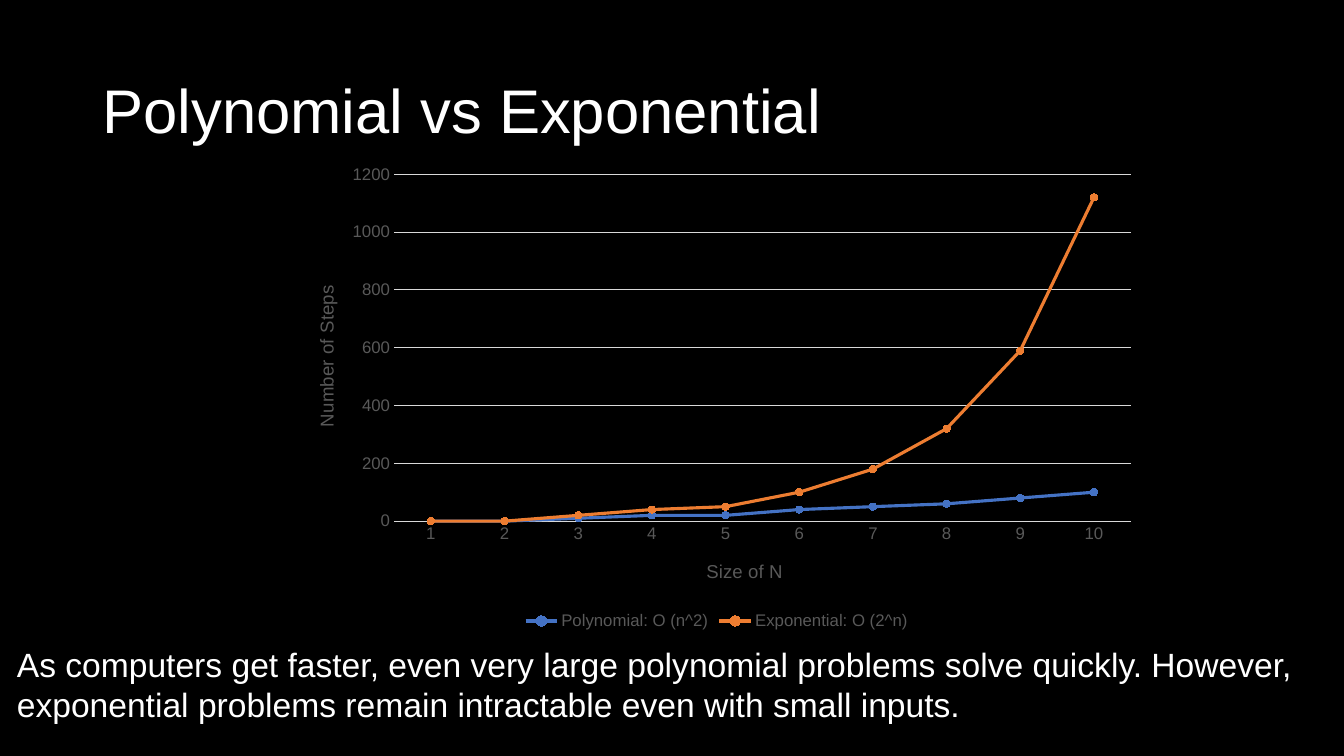
import pptx
import pptx.util
import pptx.chart.data
import pptx.dml.color
import pptx.enum.chart
import pptx.enum.text
import lxml.etree

Pt = pptx.util.Pt
RGBColor = pptx.dml.color.RGBColor
BLACK = RGBColor(0x00, 0x00, 0x00)
WHITE = RGBColor(0xFF, 0xFF, 0xFF)
LABEL_GRAY = RGBColor(0x59, 0x59, 0x59)
GRID_GRAY = RGBColor(0xD9, 0xD9, 0xD9)
BLUE = RGBColor(0x44, 0x72, 0xC4)
ORANGE = RGBColor(0xED, 0x7D, 0x31)
FONT = "Arial"
CHART_NS = "http://schemas.openxmlformats.org/drawingml/2006/chart"


def add_text(slide, text, left, top, width, height, size, anchor, line_spacing):
    box = slide.shapes.add_textbox(Pt(left), Pt(top), Pt(width), Pt(height))
    frame = box.text_frame
    frame.word_wrap = True
    frame.vertical_anchor = anchor
    frame.text = text
    paragraph = frame.paragraphs[0]
    paragraph.line_spacing = line_spacing
    font = paragraph.runs[0].font
    font.name = FONT
    font.size = Pt(size)
    font.color.rgb = WHITE


def place(element, index, settings):
    for old_layout in element.findall(f"{{{CHART_NS}}}layout"):
        element.remove(old_layout)
    layout = lxml.etree.Element(f"{{{CHART_NS}}}layout")
    manual = lxml.etree.SubElement(layout, f"{{{CHART_NS}}}manualLayout")
    for name, value in settings.items():
        lxml.etree.SubElement(manual, f"{{{CHART_NS}}}{name}").set("val", str(value))
    element.insert(index, layout)


presentation = pptx.Presentation()
presentation.slide_width = Pt(960)
presentation.slide_height = Pt(540)
slide = presentation.slides.add_slide(presentation.slide_layouts[6])
slide.background.fill.solid()
slide.background.fill.fore_color.rgb = BLACK

add_text(slide, "Polynomial vs Exponential", 66, 28.75, 828, 104.4, 44,
         pptx.enum.text.MSO_ANCHOR.MIDDLE, 0.9)
add_text(slide, "As computers get faster, even very large polynomial problems solve quickly. "
         "However, exponential problems remain intractable even with small inputs.",
         5, 456.5, 978, 65.5, 24, pptx.enum.text.MSO_ANCHOR.TOP, 1.0)

sizes = range(1, 11)
chart_data = pptx.chart.data.CategoryChartData()
chart_data.categories = [str(n) for n in sizes]
chart_data.add_series("Polynomial: O (n^2)", [round(n ** 2, -1) for n in sizes])
chart_data.add_series("Exponential: O (2^n)", [round(2 ** n, -1) for n in sizes])
chart = slide.shapes.add_chart(
    pptx.enum.chart.XL_CHART_TYPE.LINE_MARKERS_STACKED,
    Pt(203.8), Pt(111.6), Pt(616.3), Pt(341.3), chart_data).chart
chart.has_title = False
chart.font.name = FONT
chart.font.size = Pt(12)
chart.font.color.rgb = LABEL_GRAY
chart.has_legend = True
chart.legend.position = pptx.enum.chart.XL_LEGEND_POSITION.BOTTOM
chart.legend.include_in_layout = False
chart.legend.font.name = FONT
chart.legend.font.size = Pt(12)
chart.legend.font.color.rgb = LABEL_GRAY
plot_area = chart._chartSpace.find(f".//{{{CHART_NS}}}plotArea")
place(plot_area, 0, {"layoutTarget": "inner", "xMode": "edge", "yMode": "edge",
                     "x": 0.126, "y": 0.038, "w": 0.854, "h": 0.726})

for axis, title, rotation, x, y in [
        (chart.category_axis, "Size of N", 0, 0.484, 0.837),
        (chart.value_axis, "Number of Steps", -90, 0.03, 0.263)]:
    axis.major_tick_mark = pptx.enum.chart.XL_TICK_MARK.NONE
    axis.minor_tick_mark = pptx.enum.chart.XL_TICK_MARK.NONE
    axis.tick_labels.font.name = FONT
    axis.tick_labels.font.size = Pt(12)
    axis.tick_labels.font.color.rgb = LABEL_GRAY
    frame = axis.axis_title.text_frame
    frame.text = title
    font = frame.paragraphs[0].runs[0].font
    font.name = FONT
    font.size = Pt(13.3)
    font.bold = False
    font.color.rgb = LABEL_GRAY
    frame._txBody.bodyPr.set("rot", str(rotation * 60000))
    place(axis.axis_title._element, 1, {"xMode": "edge", "yMode": "edge", "x": x, "y": y})

chart.category_axis.format.line.color.rgb = GRID_GRAY
chart.category_axis.format.line.width = Pt(0.75)
value_axis = chart.value_axis
value_axis.minimum_scale = 0
value_axis.maximum_scale = 1200
value_axis.major_unit = 200
value_axis.format.line.fill.background()
value_axis.major_gridlines.format.line.color.rgb = GRID_GRAY
value_axis.major_gridlines.format.line.width = Pt(0.75)

chart.plots[0].vary_by_categories = False
for series, color in zip(chart.plots[0].series, [BLUE, ORANGE]):
    series.smooth = False
    series.format.line.color.rgb = color
    series.format.line.width = Pt(2.25)
    series.marker.style = pptx.enum.chart.XL_MARKER_STYLE.CIRCLE
    series.marker.size = 5
    series.marker.format.fill.solid()
    series.marker.format.fill.fore_color.rgb = color
    series.marker.format.line.color.rgb = color

presentation.save("out.pptx")
